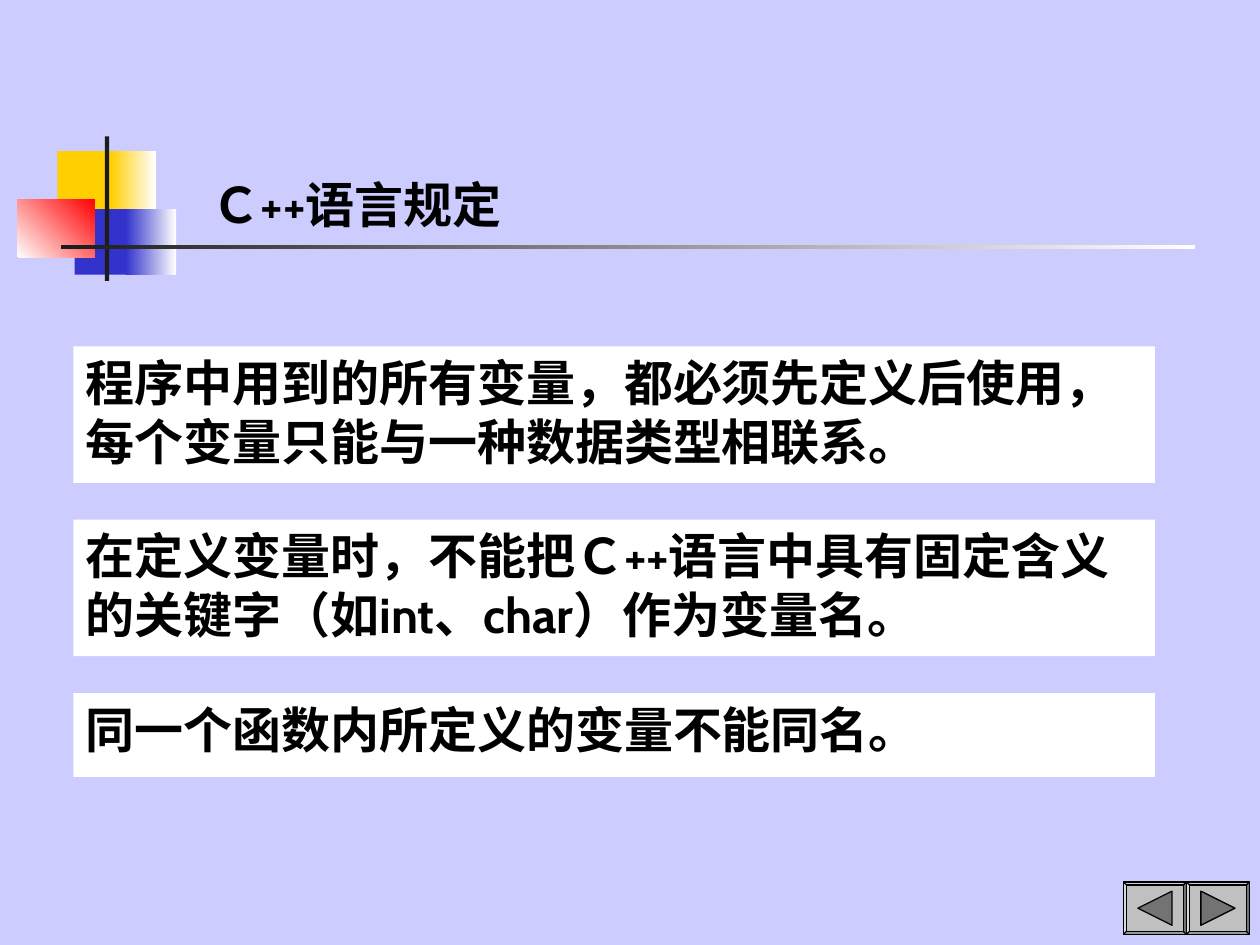
from pptx import Presentation
from pptx.dml.color import RGBColor
from pptx.enum.shapes import MSO_SHAPE
from pptx.enum.text import MSO_ANCHOR, PP_ALIGN
from pptx.util import Pt

RECTANGLE = MSO_SHAPE.RECTANGLE
BEVEL = MSO_SHAPE.BEVEL
TOP, BOTTOM = MSO_ANCHOR.TOP, MSO_ANCHOR.BOTTOM
LEFT = PP_ALIGN.LEFT

LAVENDER = RGBColor(0xCC, 0xCC, 0xFF)
WHITE = RGBColor(0xFF, 0xFF, 0xFF)
BLACK = RGBColor(0x00, 0x00, 0x00)
YELLOW = RGBColor(0xFF, 0xCF, 0x01)
BLUE = RGBColor(0x33, 0x33, 0xCC)
RED = RGBColor(0xFF, 0x00, 0x00)
CHARCOAL = RGBColor(0x1C, 0x1C, 0x1C)
SILVER = RGBColor(0xC0, 0xC0, 0xC0)
ARROW_GRAY = RGBColor(0x73, 0x73, 0x73)

FONT = "Cabin"
FONT_SIZE = 28

# left, top, width, height, start colour, end colour (None: solid), angle
ORNAMENT = [
    (32.76, 86.4, 34.92, 37.44, YELLOW, None, 0),
    (63.36, 86.4, 25.56, 37.44, YELLOW, WHITE, 0),
    (42.6, 119.52, 33.12, 37.44, BLUE, None, 0),
    (72, 119.52, 28.6, 37.44, BLUE, WHITE, 0),
    (9.84, 113.76, 44.4, 33.4, WHITE, RED, 45),
    (59.9, 78, 2.5, 82.6, CHARCOAL, None, 0),
    (34.8, 140, 648, 2.5, CHARCOAL, WHITE, 0),
]

RULES = [
    ("程序中用到的所有变量，都必须先定义后使用，每个变量只能与一种数据类型相联系。", 78),
    ("在定义变量时，不能把Ｃ++语言中具有固定含义的关键字（如int、char）作为变量名。", 78),
    ("同一个函数内所定义的变量不能同名。", 48),
]
RULE_LEFT, RULE_TOP, RULE_WIDTH, RULE_PITCH = 42, 198, 618, 99

BUTTON_LEFT, BUTTON_TOP, BUTTON_WIDTH, BUTTON_HEIGHT = 642, 504, 36, 30


def add_box(slide, left, top, width, height, color, end_color=None, angle=0):
    """Add a borderless rectangle with a solid or two-colour gradient fill."""
    sp = slide.shapes.add_shape(RECTANGLE, Pt(left), Pt(top), Pt(width), Pt(height))
    sp.shadow.inherit = False
    sp.line.fill.background()
    if end_color is None:
        sp.fill.solid()
        sp.fill.fore_color.rgb = color
    else:
        sp.fill.gradient()
        sp.fill.gradient_angle = angle
        for stop, stop_color in zip(sp.fill.gradient_stops, (color, end_color)):
            stop.color.rgb = stop_color
    return sp


def set_text(sp, text, anchor):
    tf = sp.text_frame
    tf.word_wrap = True
    tf.vertical_anchor = anchor
    p = tf.paragraphs[0]
    p.text = text
    p.alignment = LEFT
    p.font.name = FONT
    p.font.size = Pt(FONT_SIZE)
    p.font.bold = True
    p.font.color.rgb = BLACK


def set_button_style(sp, color):
    sp.shadow.inherit = False
    sp.fill.solid()
    sp.fill.fore_color.rgb = color
    sp.line.color.rgb = BLACK
    sp.line.width = Pt(0.75)


def add_button(slide, left, direction):
    """Add a bevelled button whose arrow points right (1) or left (-1)."""
    bevel = slide.shapes.add_shape(
        BEVEL, Pt(left), Pt(BUTTON_TOP), Pt(BUTTON_WIDTH), Pt(BUTTON_HEIGHT))
    bevel.adjustments[0] = 0.06
    set_button_style(bevel, SILVER)

    x, y = left + BUTTON_WIDTH / 2, BUTTON_TOP + BUTTON_HEIGHT / 2
    reach, rise = 9.75 * direction, 9.75
    builder = slide.shapes.build_freeform(Pt(x + reach), Pt(y))
    builder.add_line_segments(
        [(Pt(x - reach), Pt(y + rise)), (Pt(x - reach), Pt(y - rise))], close=True)
    set_button_style(builder.convert_to_shape(), ARROW_GRAY)


def main():
    prs = Presentation()
    prs.slide_width, prs.slide_height = Pt(720), Pt(540)
    slide = prs.slides.add_slide(prs.slide_layouts[6])
    slide.background.fill.solid()
    slide.background.fill.fore_color.rgb = LAVENDER

    for part in ORNAMENT:
        add_box(slide, *part)

    title = slide.shapes.add_textbox(Pt(114), Pt(96), Pt(245.5), Pt(41))
    set_text(title, "Ｃ++语言规定", BOTTOM)

    for i, (text, height) in enumerate(RULES):
        top = RULE_TOP + i * RULE_PITCH
        box = add_box(slide, RULE_LEFT, top, RULE_WIDTH, height, WHITE)
        set_text(box, text, TOP)

    for i, direction in enumerate((-1, 1)):
        add_button(slide, BUTTON_LEFT + i * BUTTON_WIDTH, direction)

    prs.save("out.pptx")


if __name__ == "__main__":
    main()
